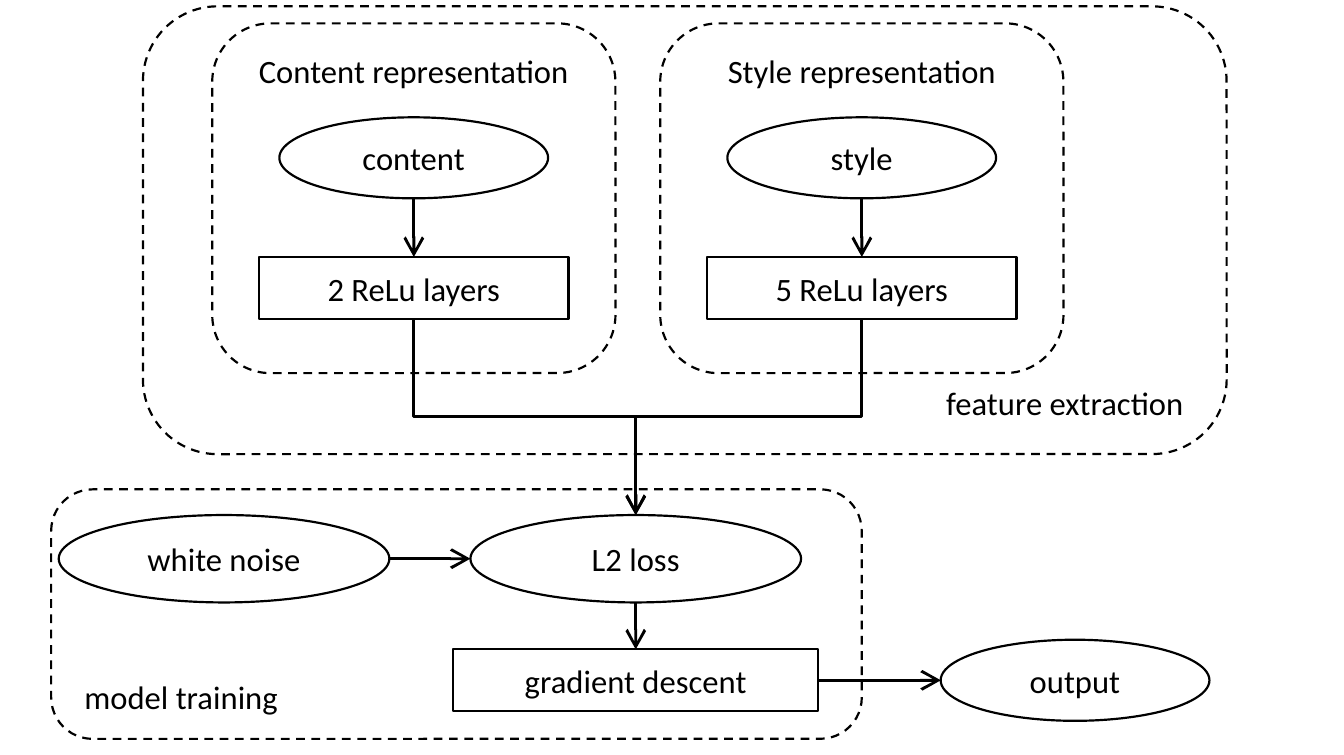
from lxml import etree
from pptx import Presentation
from pptx.dml.color import RGBColor
from pptx.enum.dml import MSO_LINE
from pptx.enum.shapes import MSO_CONNECTOR, MSO_SHAPE
from pptx.enum.text import MSO_ANCHOR, PP_ALIGN
from pptx.oxml.ns import qn
from pptx.util import Inches, Pt

OVAL, RECT, ROUND = MSO_SHAPE.OVAL, MSO_SHAPE.RECTANGLE, MSO_SHAPE.ROUNDED_RECTANGLE
STRAIGHT, ELBOW = MSO_CONNECTOR.STRAIGHT, MSO_CONNECTOR.ELBOW
TOP, MIDDLE, BOTTOM = MSO_ANCHOR.TOP, MSO_ANCHOR.MIDDLE, MSO_ANCHOR.BOTTOM
LEFT, CENTER, RIGHT = PP_ALIGN.LEFT, PP_ALIGN.CENTER, PP_ALIGN.RIGHT

# Content: inches, columns and rows are the centres of the boxes
WIDTH, HEIGHT = 6.3, 3.54
FONT, SIZE, INK, PAPER = "Calibri", 11, "000000", "FFFFFF"
CONTENT_X, STYLE_X, LOSS_X = 1.94, 4.04, 2.98
INPUT_Y, LAYER_Y, LOSS_Y, DESCENT_Y = 0.74, 1.35, 2.62, 3.19
SMALL_OVAL, LARGE_OVAL = (1.26, 0.38), (1.55, 0.41)
LAYER_BOX, DESCENT_BOX = (1.45, 0.29), (1.71, 0.29)
BRANCH_FRAME = (1.89, 1.64)

NODES = {  # text: shape, centre, size
    "content": (OVAL, (CONTENT_X, INPUT_Y), SMALL_OVAL),
    "2 ReLu layers": (RECT, (CONTENT_X, LAYER_Y), LAYER_BOX),
    "style": (OVAL, (STYLE_X, INPUT_Y), SMALL_OVAL),
    "5 ReLu layers": (RECT, (STYLE_X, LAYER_Y), LAYER_BOX),
    "white noise": (OVAL, (1.05, LOSS_Y), LARGE_OVAL),
    "L2 loss": (OVAL, (LOSS_X, LOSS_Y), LARGE_OVAL),
    "gradient descent": (RECT, (LOSS_X, DESCENT_Y), DESCENT_BOX),
    "output": (OVAL, (5.04, DESCENT_Y), SMALL_OVAL),
}
FRAMES = [  # text, centre, size, anchor, alignment
    ("Content representation", (CONTENT_X, 0.93), BRANCH_FRAME, TOP, CENTER),
    ("Style representation", (STYLE_X, 0.93), BRANCH_FRAME, TOP, CENTER),
    ("feature extraction", (3.21, 1.08), (5.08, 2.1), BOTTOM, RIGHT),
    ("model training", (2.14, 2.88), (3.8, 1.17), BOTTOM, LEFT),
]
ARROWS = [
    ("content", "2 ReLu layers"),
    ("style", "5 ReLu layers"),
    ("2 ReLu layers", "L2 loss"),
    ("5 ReLu layers", "L2 loss"),
    ("white noise", "L2 loss"),
    ("L2 loss", "gradient descent"),
    ("gradient descent", "output"),
]

deck = Presentation()
deck.slide_width, deck.slide_height = Inches(WIDTH), Inches(HEIGHT)
page = deck.slides.add_slide(deck.slide_layouts[6])


def color(value):
    return RGBColor.from_string(value)


def add_box(kind, text, centre, size, anchor=MIDDLE, align=CENTER):
    (x, y), (w, h) = centre, size
    box = page.shapes.add_shape(kind, *map(Inches, (x - w / 2, y - h / 2, w, h)))
    box.shadow.inherit = False
    box.fill.background()
    box.line.color.rgb = color(INK)
    box.line.width = Pt(0.75)
    frame = box.text_frame
    frame.word_wrap = True
    frame.vertical_anchor = anchor
    frame.text = text
    para = frame.paragraphs[0]
    para.alignment = align
    font = para.runs[0].font
    font.name, font.size = FONT, Pt(SIZE)
    font.color.rgb = color(INK)
    return box


def add_arrow(source, target):
    _, (x1, y1), (w1, h1) = NODES[source]
    _, (x2, y2), (w2, h2) = NODES[target]
    if y1 == y2:
        x1, x2 = x1 + w1 / 2, x2 - w2 / 2
    else:
        y1, y2 = y1 + h1 / 2, y2 - h2 / 2
    bent = x1 != x2 and y1 != y2
    if bent:
        # An elbow that leaves downwards is a sideways one given a quarter turn
        middle_x, middle_y = (x1 + x2) / 2, (y1 + y2) / 2
        run, drop = abs(x2 - x1) / 2, (y2 - y1) / 2
        rightwards = x2 > x1
        side = drop if rightwards else -drop
        ends = (middle_x + side, middle_y - run, middle_x - side, middle_y + run)
    else:
        ends = (x1, y1, x2, y2)
    arrow = page.shapes.add_connector(ELBOW if bent else STRAIGHT, *map(Inches, ends))
    if bent:
        turn = 270 if rightwards else 90
        arrow.element.spPr.find(qn("a:xfrm")).set("rot", str(turn * 60000))
    arrow.line.color.rgb = color(INK)
    arrow.line.width = Pt(1)
    etree.SubElement(arrow.line._get_or_add_ln(), qn("a:tailEnd"), type="arrow")
    etree.SubElement(arrow.element.spPr, qn("a:effectLst"))


# Ovals and boxes
for label, (kind, centre, size) in NODES.items():
    node = add_box(kind, label, centre, size)
    if kind == OVAL:
        node.fill.solid()
        node.fill.fore_color.rgb = color(PAPER)

# Dashed frames
for label, centre, size, anchor, align in FRAMES:
    add_box(ROUND, label, centre, size, anchor, align).line.dash_style = MSO_LINE.DASH

# Arrows
for source, target in ARROWS:
    add_arrow(source, target)

deck.save("out.pptx")
